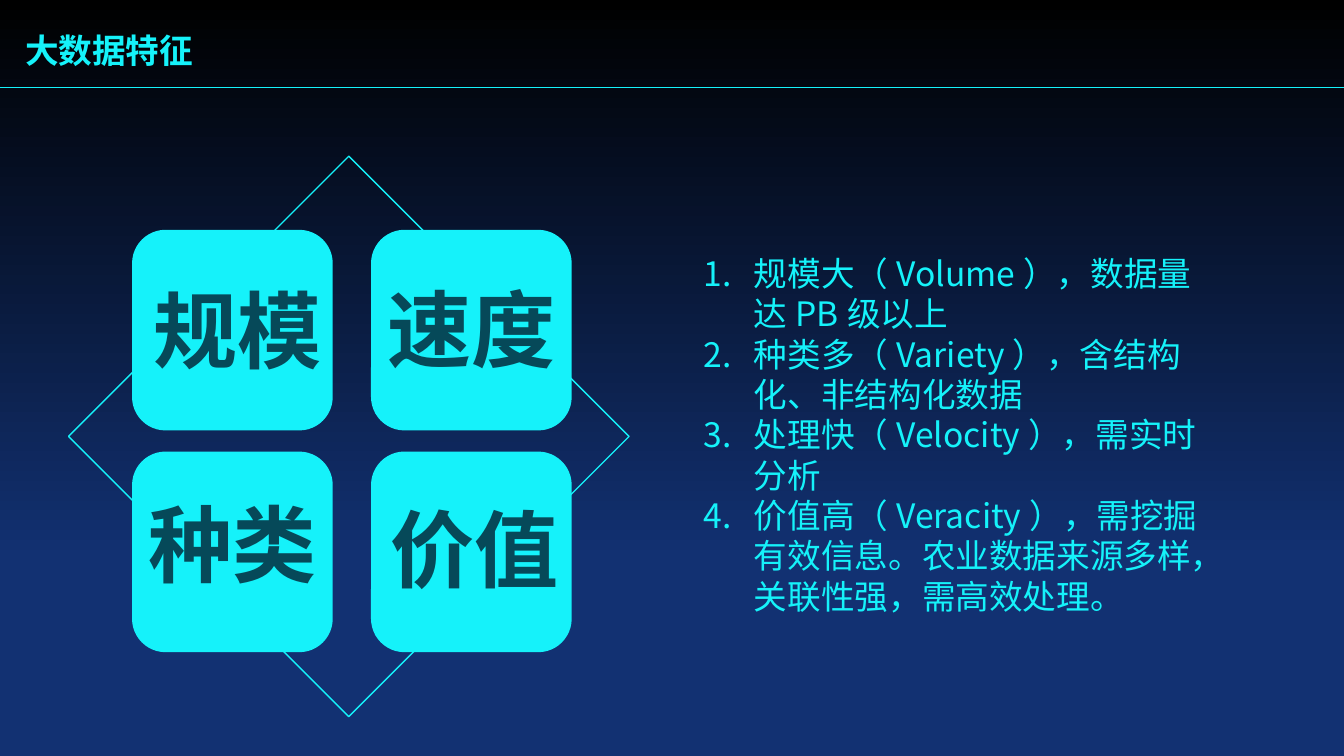
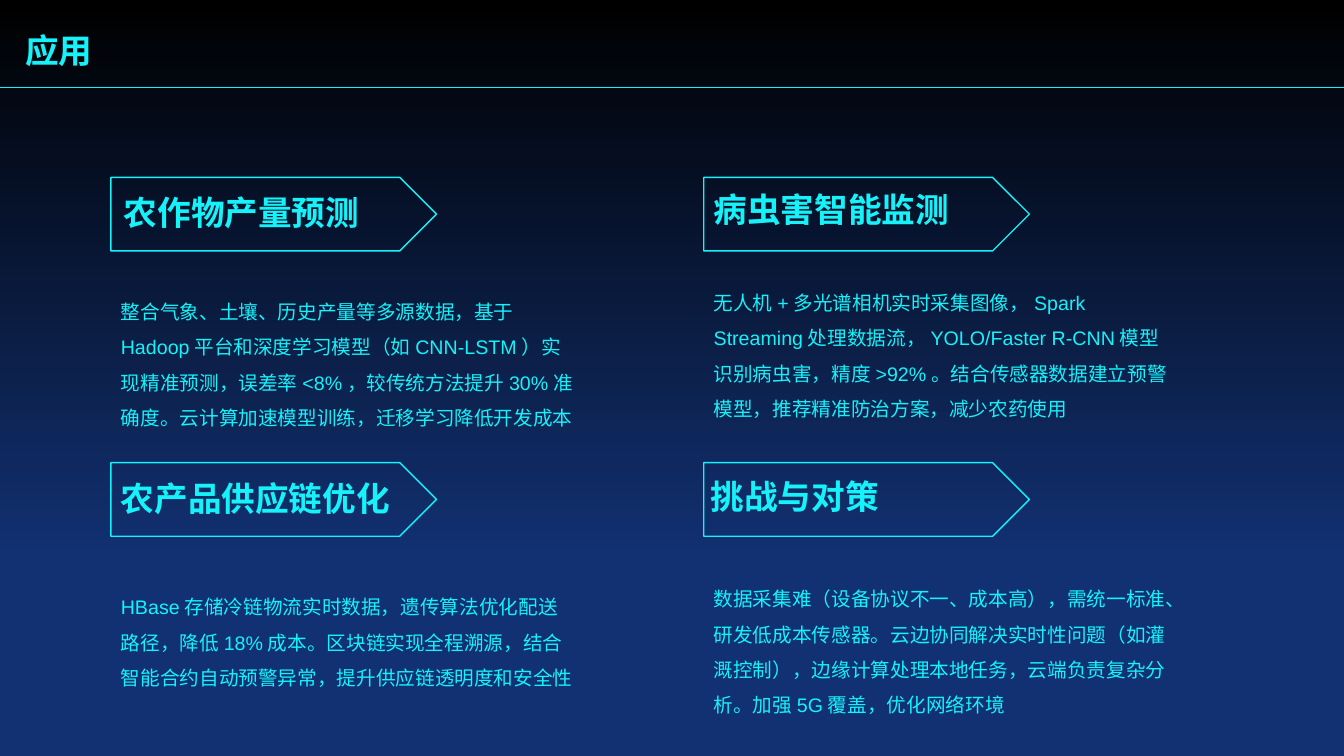
from lxml import etree
from pptx import Presentation
from pptx.dml.color import RGBColor
from pptx.enum.lang import MSO_LANGUAGE_ID
from pptx.enum.shapes import MSO_CONNECTOR, MSO_SHAPE
from pptx.enum.text import MSO_AUTO_SIZE
from pptx.oxml.ns import qn
from pptx.util import Inches, Pt

STRAIGHT = MSO_CONNECTOR.STRAIGHT
DIAMOND = MSO_SHAPE.DIAMOND
ROUNDED = MSO_SHAPE.ROUNDED_RECTANGLE
PENTAGON = MSO_SHAPE.PENTAGON
GROW = MSO_AUTO_SIZE.SHAPE_TO_FIT_TEXT
CHINESE = MSO_LANGUAGE_ID.SIMPLIFIED_CHINESE

WIDTH, HEIGHT = 13.33, 7.5
CYAN, TEAL, BLACK, NAVY = "15F2FA", "064959", "000000", "123172"
CJK_FONT = "Noto Sans CJK SC"

HEADING = {"size": Pt(24), "name": "Arial", "bold": True}
BODY = {"size": Pt(14), "name": "Arial"}
LIST = {"size": Pt(24), "name": CJK_FONT}
TILE = {"size": Pt(60), "name": CJK_FONT, "bold": True}

TILES = [
    ("规模", 0.11, 0.43),
    ("速度", 0.06, 0.42),
    ("种类", 0.06, 0.36),
    ("价值", 0.09, 0.41),
]
FEATURES = [
    "规模大（Volume），数据量达PB级以上",
    "种类多（Variety），含结构化、非结构化数据",
    "处理快（Velocity），需实时分析",
    "价值高（Veracity），需挖掘有效信息。农业数据来源多样，关联性强，需高效处理。",
]
APPLICATIONS = [
    ("农作物产量预测", 0.03, 0.09, 1.05, 1.47,
     "整合气象、土壤、历史产量等多源数据，基于Hadoop平台和深度学习模型（如CNN-LSTM）"
     "实现精准预测，误差率<8%，较传统方法提升30%准确度。云计算加速模型训练，迁移学习降低开发成本"),
    ("病虫害智能监测", 0, 0.07, 0.96, 1.47,
     "无人机+多光谱相机实时采集图像，Spark Streaming处理数据流，YOLO/Faster R-CNN模型"
     "识别病虫害，精度>92%。结合传感器数据建立预警模型，推荐精准防治方案，减少农药使用"),
    ("农产品供应链优化", 0, 0.1, 1.15, 1.12,
     "HBase存储冷链物流实时数据，遗传算法优化配送路径，降低18%成本。"
     "区块链实现全程溯源，结合智能合约自动预警异常，提升供应链透明度和安全性"),
    ("挑战与对策", -0.03, 0.08, 1.07, 1.47,
     "数据采集难（设备协议不一、成本高），需统一标准、研发低成本传感器。"
     "云边协同解决实时性问题（如灌溉控制），边缘计算处理本地任务，云端负责复杂分析。"
     "加强5G覆盖，优化网络环境"),
]


def paint(color_format, color):
    color_format.rgb = RGBColor.from_string(color)


def add_shape(page, kind, box, fill=None, line=None):
    shape = page.shapes.add_shape(kind, *map(Inches, box))
    shape.shadow.inherit = False
    if fill:
        shape.fill.solid()
        paint(shape.fill.fore_color, fill)
    else:
        shape.fill.background()
    if line:
        paint(shape.line.color, line)
        shape.line.width = Pt(1)
    else:
        shape.line.fill.background()


def number_paragraph(para):
    properties = para._p.get_or_add_pPr()
    properties.set("marL", str(Inches(0.5)))
    properties.set("indent", str(Inches(-0.5)))
    etree.SubElement(properties, qn("a:buFont"), typeface="+mj-lt")
    etree.SubElement(properties, qn("a:buAutoNum"), type="arabicPeriod")


def add_text(page, box, lines, style, color=CYAN, wrap=True, spacing=None, numbered=False):
    frame = page.shapes.add_textbox(*map(Inches, box)).text_frame
    frame.word_wrap = wrap
    frame.auto_size = GROW
    for index, line in enumerate(lines):
        para = frame.add_paragraph() if index else frame.paragraphs[0]
        if spacing:
            para.line_spacing = spacing
        if numbered:
            number_paragraph(para)
        span = para.add_run()
        span.text = line
        for name, value in style.items():
            setattr(span.font, name, value)
        span.font.language_id = CHINESE
        paint(span.font.color, color)
        etree.SubElement(span._r.get_or_add_rPr(), qn("a:ea"), typeface=CJK_FONT)


def add_page(deck, title):
    page = deck.slides.add_slide(deck.slide_layouts[6])
    fill = page.background.fill
    fill.gradient()
    fill.gradient_angle = 270
    for stop, position, color in zip(fill.gradient_stops, (0, 0.74), (BLACK, NAVY)):
        stop.position = position
        paint(stop.color, color)
    add_text(page, (0.15, 0.25, 4.25, 0.5), [title], HEADING)
    rule = page.shapes.add_connector(
        STRAIGHT, 0, Inches(0.87), Inches(WIDTH), Inches(0.87))
    paint(rule.line.color, CYAN)
    rule.line.width = Pt(0.5)
    etree.SubElement(rule._element.spPr, qn("a:effectLst"))
    return page


def add_diamond_matrix(page, left, top, size):
    add_shape(page, DIAMOND, (left, top, size, size), line=CYAN)
    for index, (label, shift_x, shift_y) in enumerate(TILES):
        row, column = divmod(index, 2)
        x = left + 0.63 + column * 2.37
        y = top + 0.73 + row * 2.2
        add_shape(page, ROUNDED, (x, y, 1.99, 1.99), fill=CYAN)
        add_text(page, (x + shift_x, y + shift_y, 1.88, 1.11), [label], TILE, TEAL, wrap=False)


def add_application(page, left, top, application):
    heading, shift_x, shift_y, body_top, body_height, body = application
    add_shape(page, PENTAGON, (left, top, 3.23, 0.73), line=CYAN)
    add_text(page, (left + shift_x, top + shift_y, 2.95, 0.5), [heading], HEADING)
    add_text(page, (left, top + body_top, 4.72, body_height), [body], BODY, spacing=1.5)


def build_features(deck):
    page = add_page(deck, "大数据特征")
    add_diamond_matrix(page, 0.68, 1.55, 5.56)
    add_text(page, (6.88, 2.46, 5.17, 3.74), FEATURES, LIST, numbered=True)


def build_applications(deck):
    page = add_page(deck, "应用")
    for index, application in enumerate(APPLICATIONS):
        row, column = divmod(index, 2)
        add_application(page, 1.1 + column * 5.88, 1.76 + row * 2.83, application)


def main():
    deck = Presentation()
    deck.slide_width, deck.slide_height = Inches(WIDTH), Inches(HEIGHT)
    build_features(deck)
    build_applications(deck)
    deck.save("out.pptx")


if __name__ == "__main__":
    main()
